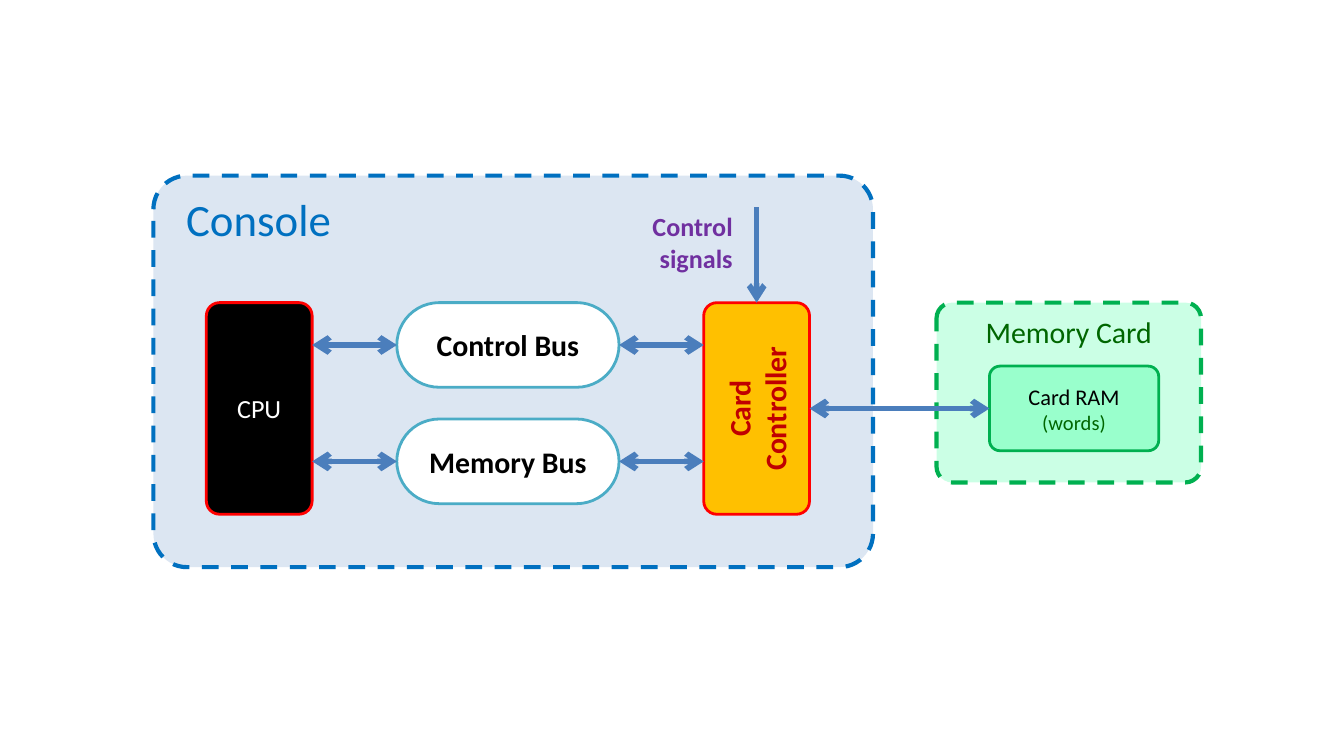
from dataclasses import dataclass

from lxml.etree import SubElement
from pptx import Presentation
from pptx.dml.color import RGBColor as Rgb
from pptx.enum.dml import MSO_LINE_DASH_STYLE as Dash
from pptx.enum.shapes import MSO_CONNECTOR as Connector, MSO_SHAPE as Shape
from pptx.enum.text import MSO_ANCHOR as Anchor, PP_ALIGN as Align
from pptx.oxml.ns import qn
from pptx.util import Cm, Inches, Pt


@dataclass(frozen=True)
class Theme:
    font: str = "Calibri"
    title: int = 24
    heading: int = 16
    label: int = 14
    small: int = 12
    tiny: int = 11
    frame_line: float = 2.25
    box_line: float = 1.5
    arrow_line: float = 3
    black: str = "000000"
    white: str = "FFFFFF"
    blue: str = "0070C0"
    pale_blue: str = "DCE6F2"
    arrow: str = "4B7EBC"
    teal: str = "4BACC6"
    green: str = "00B050"
    dark_green: str = "006600"
    mint: str = "99FFCC"
    red: str = "FF0000"
    dark_red: str = "C00000"
    amber: str = "FFC000"
    purple: str = "7030A0"


THEME = Theme()
SLIDE_WIDTH = Inches(10)
SLIDE_HEIGHT = SLIDE_WIDTH * 9 // 16
CELL = Cm(0.2)
LEFT, TOP = Cm(3.9), Cm(5.72)


def point(column, row):
    return round(LEFT + column * CELL), round(TOP + row * CELL)


def area(column, row, columns, rows):
    return *point(column, row), round(columns * CELL), round(rows * CELL)


def write(box, lines, align=Align.CENTER, anchor=Anchor.MIDDLE):
    frame = box.text_frame
    frame.word_wrap = True
    frame.vertical_anchor = anchor
    for index, (text, size, color, bold) in enumerate(lines):
        para = frame.add_paragraph() if index else frame.paragraphs[0]
        para.alignment = align
        span = para.add_run()
        span.text = text
        span.font.name = THEME.font
        span.font.size = Pt(size)
        span.font.bold = bold
        span.font.color.rgb = Rgb.from_string(color)


def add_box(page, place, fill, line, rounding=0.125, width=THEME.box_line):
    box = page.shapes.add_shape(Shape.ROUNDED_RECTANGLE, *area(*place))
    box.adjustments[0] = rounding
    box.shadow.inherit = False
    box.fill.solid()
    box.fill.fore_color.rgb = Rgb.from_string(fill)
    box.line.color.rgb = Rgb.from_string(line)
    box.line.width = Pt(width)
    return box


def add_frame(page, place, fill, line, rounding):
    frame = add_box(page, place, fill, line, rounding, THEME.frame_line)
    frame.line.dash_style = Dash.DASH
    return frame


def make_translucent(box, percent):
    color = box.fill._xPr.find(qn("a:solidFill"))[0]
    SubElement(color, qn("a:alpha")).set("val", str(percent * 1000))


def add_arrow(page, start, end, begin_join=None, end_join=None, double=True):
    begin, finish = point(*start), point(*end)
    arrow = page.shapes.add_connector(Connector.STRAIGHT, *begin, *finish)
    if begin_join:
        arrow.begin_connect(*begin_join)
    if end_join:
        arrow.end_connect(*end_join)
    arrow.begin_x, arrow.begin_y = begin
    arrow.end_x, arrow.end_y = finish
    arrow.line.color.rgb = Rgb.from_string(THEME.arrow)
    arrow.line.width = Pt(THEME.arrow_line)
    outline = arrow.line._get_or_add_ln()
    for tag in ("a:headEnd", "a:tailEnd") if double else ("a:tailEnd",):
        SubElement(outline, qn(tag)).set("type", "arrow")
    SubElement(arrow._element.spPr, qn("a:effectLst"))


def add_bus(page, name, row):
    bus = add_box(page, (18, row, 21, 8), THEME.white, THEME.teal, 0.5)
    write(bus, [(name, THEME.heading, THEME.black, True)])
    middle = row + 4
    add_arrow(page, (10, middle), (18, middle), end_join=(bus, 1))
    add_arrow(page, (39, middle), (47, middle), begin_join=(bus, 3))


def add_memory_card(page):
    card = add_frame(page, (69, 0, 25, 17), THEME.mint, THEME.green, 0.088)
    make_translucent(card, 50)
    write(card, [("Memory Card", THEME.heading, THEME.dark_green, False)], anchor=Anchor.TOP)


def add_console(page):
    console = add_frame(page, (-5, -12, 68, 37), THEME.pale_blue, THEME.blue, 0.086)
    console.text_frame.margin_left = Inches(0.17)
    write(console, [("Console", THEME.title, THEME.blue, False)], Align.LEFT, Anchor.TOP)


def add_controller(page):
    controller = add_box(page, (42, 5, 20, 10), THEME.amber, THEME.red)
    controller.rotation = 270
    write(controller, [("Card Controller", THEME.heading, THEME.dark_red, True)])
    return controller


def add_control_label(page):
    label = page.shapes.add_textbox(*area(39, -9.3, 12, 7.25))
    write(label, [("Control signals", THEME.label, THEME.purple, True)], Align.RIGHT, Anchor.TOP)


def main():
    deck = Presentation()
    deck.slide_width, deck.slide_height = SLIDE_WIDTH, SLIDE_HEIGHT
    page = deck.slides.add_slide(deck.slide_layouts[6])

    add_memory_card(page)
    add_console(page)
    controller = add_controller(page)
    cpu = add_box(page, (0, 0, 10, 20), THEME.black, THEME.red)
    write(cpu, [("CPU", THEME.label, THEME.white, False)])

    for name, row in (("Control Bus", 0), ("Memory Bus", 11)):
        add_bus(page, name, row)

    add_control_label(page)
    ram = add_box(page, (74, 6, 16, 8), THEME.mint, THEME.green)
    write(ram, [("Card RAM", THEME.small, THEME.black, False),
                ("(words)", THEME.tiny, THEME.dark_green, False)])

    add_arrow(page, (52, -9), (52, 0), end_join=(controller, 3), double=False)
    add_arrow(page, (57, 10), (74, 10), (controller, 2), (ram, 1))
    deck.save("out.pptx")


if __name__ == "__main__":
    main()
